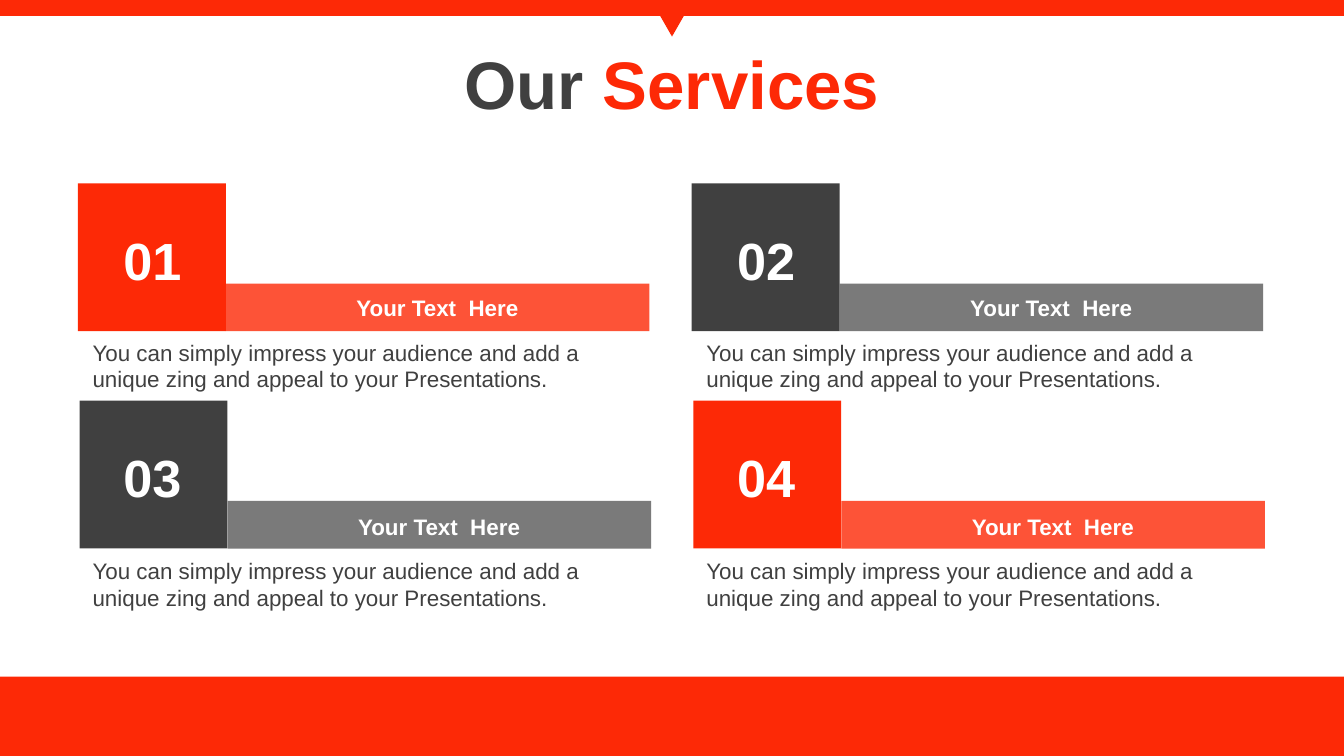
"""Build the "Our Services" slide with four numbered service cards."""
from lxml.etree import SubElement
from pptx import Presentation
from pptx.dml.color import RGBColor
from pptx.enum.shapes import MSO_SHAPE
from pptx.enum.text import MSO_ANCHOR, MSO_AUTO_SIZE, PP_ALIGN
from pptx.oxml.ns import qn
from pptx.util import Pt

COLORS = {"red": "FD2906", "dark": "404040", "gray": "595959", "white": "FFFFFF"}
TITLE = [("Our ", "dark"), ("Services", "red")]
LABEL = "Your Text  Here"
BODY = ("You can simply impress your audience and add a "
        "unique zing and appeal to your Presentations.")
CARDS = [("01", "red", "red"), ("02", "dark", "gray"),
         ("03", "dark", "gray"), ("04", "red", "red")]

WIDTH, HEIGHT = 720, 405
LEFT, TOP = 41.8, 98.3
COLUMN_STEP, ROW_STEP, ROW_SHIFT = 328.8, 116.4, 0.9
SQUARE, BAR_WIDTH, BAR_HEIGHT = 79.2, 226.9, 25.5


def add_block(page, frame, color, kind=MSO_SHAPE.RECTANGLE, opacity=100):
    shape = page.shapes.add_shape(kind, *map(Pt, frame))
    shape.shadow.inherit = False
    shape.fill.solid()
    shape.fill.fore_color.rgb = RGBColor.from_string(COLORS[color])
    shape.line.fill.background()
    if opacity < 100:
        tint = shape.fill._xPr.find(qn("a:solidFill"))[0]
        SubElement(tint, qn("a:alpha"), val=str(opacity * 1000))
    return shape


def add_text(page, frame, spans, size, bold=True, align=PP_ALIGN.LEFT, wrap=True):
    box = page.shapes.add_textbox(*map(Pt, frame))
    box.text_frame.word_wrap = wrap
    box.text_frame.auto_size = MSO_AUTO_SIZE.SHAPE_TO_FIT_TEXT
    para = box.text_frame.paragraphs[0]
    para.alignment = align
    for text, color in spans:
        span = para.add_run()
        span.text = text
        span.font.name = "Arial"
        span.font.size = Pt(size)
        span.font.bold = bold
        span.font.color.rgb = RGBColor.from_string(COLORS[color])
    return box


def add_card(page, index, number, color, bar_color):
    row, column = divmod(index, 2)
    column_left = LEFT + column * COLUMN_STEP
    left, top = column_left + row * ROW_SHIFT, TOP + row * ROW_STEP
    bar_left, bar_top = left + SQUARE, top + SQUARE - BAR_HEIGHT
    add_block(page, (left, top, SQUARE, SQUARE), color)
    add_block(page, (bar_left, bar_top, BAR_WIDTH, BAR_HEIGHT), bar_color, opacity=80)
    add_text(page, (column_left + 17.2, top + 20.3, 46.1, 41), [(number, "white")],
             28, wrap=False)
    add_text(page, (bar_left + 15.8, bar_top + 2.1 + row * ROW_SHIFT, 195.1, 21.6),
             [(LABEL, "white")], 12, align=PP_ALIGN.CENTER)
    add_text(page, (column_left + 0.7, top + 79.6 + row * ROW_SHIFT, 306, 36),
             [(BODY, "dark")], 12, bold=False)


def main():
    deck = Presentation()
    deck.slide_width, deck.slide_height = Pt(WIDTH), Pt(HEIGHT)
    page = deck.slides.add_slide(deck.slide_layouts[6])
    add_block(page, (0, 362.5, WIDTH, HEIGHT - 362.5), "red")
    add_block(page, (0, 0, WIDTH, 8.5), "red")
    pointer = add_block(page, (348.8, 0, 22.4, 19.6), "red", MSO_SHAPE.ISOSCELES_TRIANGLE)
    pointer.rotation = 180
    title = add_text(page, (0, 9.4, WIDTH, 69.8), TITLE, 36, align=PP_ALIGN.CENTER)
    title.text_frame.auto_size = MSO_AUTO_SIZE.NONE
    title.text_frame.vertical_anchor = MSO_ANCHOR.MIDDLE
    for index, card in enumerate(CARDS):
        add_card(page, index, *card)
    deck.save("out.pptx")


if __name__ == "__main__":
    main()
